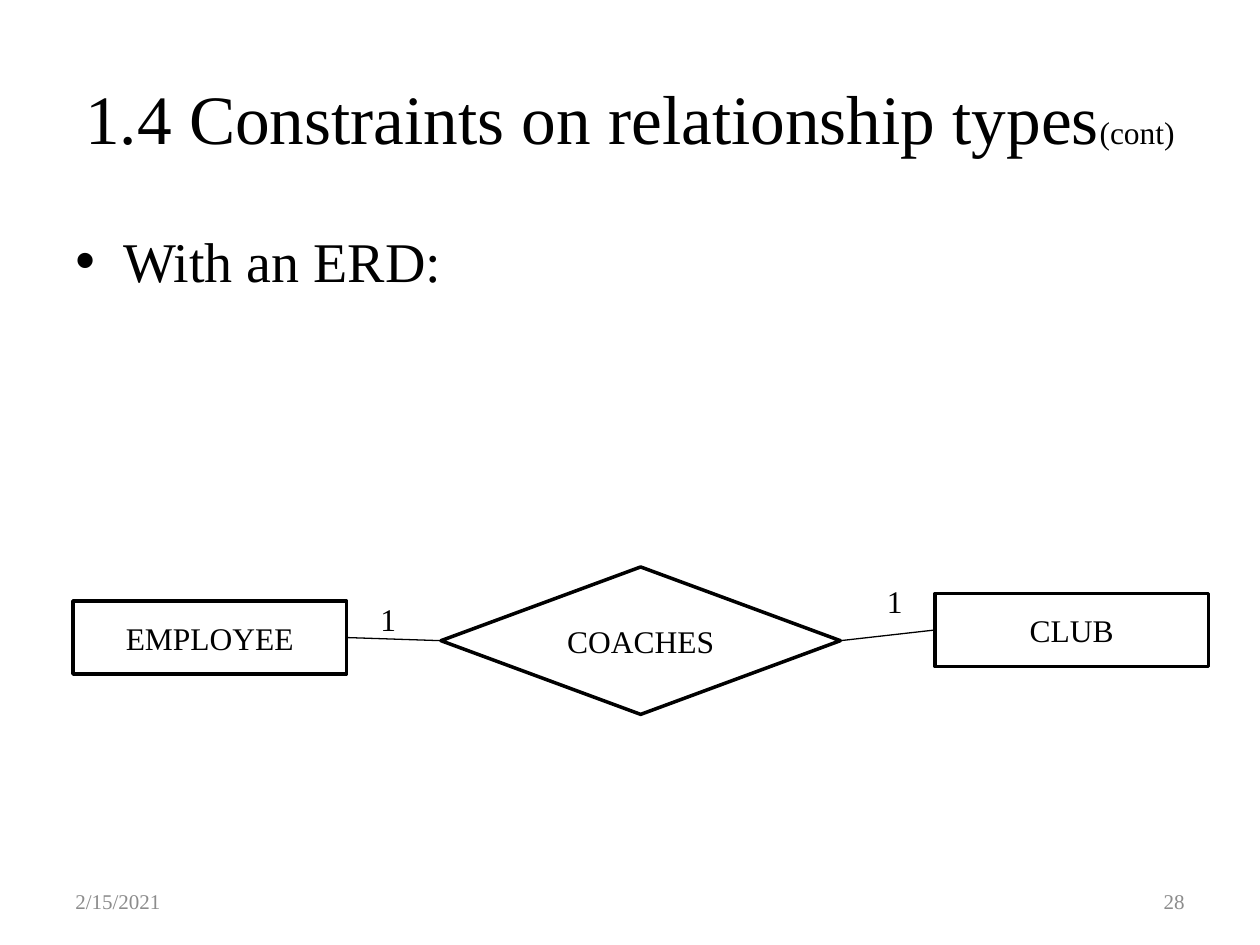
from lxml.etree import SubElement
from pptx import Presentation
from pptx.dml.color import RGBColor
from pptx.enum.shapes import MSO_CONNECTOR, MSO_SHAPE
from pptx.enum.text import MSO_ANCHOR, MSO_AUTO_SIZE, PP_ALIGN
from pptx.oxml.ns import qn
from pptx.util import Inches, Pt

COLORS = {"ink": "000000", "footer": "8C8C8C"}
FONT = "Times New Roman"
TOP, LEFT, BOTTOM, RIGHT = range(4)


def place(shape, box):
    for name, value in zip(("left", "top", "width", "height"), box):
        setattr(shape, name, Inches(value))


def write(shape, runs, align=PP_ALIGN.LEFT, anchor=MSO_ANCHOR.MIDDLE, color="ink"):
    frame_format = {
        "word_wrap": True,
        "auto_size": MSO_AUTO_SIZE.NONE,
        "vertical_anchor": anchor,
    }
    for name, value in frame_format.items():
        setattr(shape.text_frame, name, value)
    paragraph = shape.text_frame.paragraphs[0]
    paragraph.alignment = align
    for text, size in runs:
        run = paragraph.add_run()
        run.text = text
        for name, value in {"name": FONT, "size": Pt(size)}.items():
            setattr(run.font, name, value)
        run.font.color.rgb = RGBColor.from_string(COLORS[color])
    return paragraph


def add_text(slide, box, text, size, **options):
    shape = slide.shapes.add_textbox(*map(Inches, box))
    return write(shape, [(text, size)], **options)


def add_title(slide, box):
    title = slide.shapes.title
    place(title, box)
    runs = [("1.4 Constraints on relationship types", 39.6), ("(cont)", 18)]
    write(title, runs, align=PP_ALIGN.CENTER)


def add_body(slide, box):
    paragraph = add_text(slide, box, "With an ERD:", 32, anchor=MSO_ANCHOR.TOP)
    paragraph.space_before = Pt(6.4)
    properties = paragraph._p.get_or_add_pPr()
    properties.set("marL", str(Inches(0.38)))
    properties.set("indent", str(Inches(-0.38)))
    SubElement(properties, qn("a:buFont"), typeface="Arial")
    SubElement(properties, qn("a:buChar"), char="•")


def add_node(slide, kind, box, text):
    node = slide.shapes.add_shape(kind, *map(Inches, box))
    node.shadow.inherit = False
    node.fill.background()
    node.line.color.rgb = RGBColor.from_string(COLORS["ink"])
    node.line.width = Pt(2)
    write(node, [(text, 18)], align=PP_ALIGN.CENTER)
    return node


def add_link(slide, start, start_side, end, end_side):
    link = slide.shapes.add_connector(MSO_CONNECTOR.STRAIGHT, 0, 0, 0, 0)
    link.begin_connect(start, start_side)
    link.end_connect(end, end_side)
    link.line.color.rgb = RGBColor.from_string(COLORS["ink"])
    link.line.width = Pt(0.75)
    SubElement(link._element.spPr, qn("a:effectLst"))


def add_diagram(slide, box):
    left, top, width, height = box
    entity_width, entity_height = 2.17, 0.58
    club_left = left + width - entity_width
    coaches = add_node(slide, MSO_SHAPE.FLOWCHART_DECISION,
                       (left + 2.92, top, 3.17, height), "COACHES")
    employee = add_node(slide, MSO_SHAPE.RECTANGLE,
                        (left, top + 0.27, entity_width, entity_height), "EMPLOYEE")
    club = add_node(slide, MSO_SHAPE.RECTANGLE,
                    (club_left, top + 0.21, entity_width, entity_height), "CLUB")
    add_link(slide, employee, RIGHT, coaches, LEFT)
    add_link(slide, club, LEFT, coaches, RIGHT)
    for label_left, label_top in ((left + 2.34, top + 0.21), (left + 6.36, top + 0.07)):
        add_text(slide, (label_left, label_top, 0.42, 0.4), "1", 18,
                 anchor=MSO_ANCHOR.TOP)


def add_footer(slide, box):
    left, top, width, height = box
    field_width = 2.33
    fields = (
        (left, "2/15/2021", PP_ALIGN.LEFT),
        (left + width - field_width, "28", PP_ALIGN.RIGHT),
    )
    for field_left, text, align in fields:
        add_text(slide, (field_left, top, field_width, height), text, 12,
                 align=align, color="footer")


def main():
    presentation = Presentation()
    presentation.slide_width = Inches(10)
    presentation.slide_height = Inches(7.5)
    slide = presentation.slides.add_slide(presentation.slide_layouts[5])
    add_title(slide, (0.5, 0.3, 9, 1.25))
    add_body(slide, (0.5, 1.75, 9, 4.95))
    add_diagram(slide, (0.58, 4.5, 9.01, 1.17))
    add_footer(slide, (0.5, 6.95, 9, 0.4))
    presentation.save("out.pptx")


if __name__ == "__main__":
    main()
